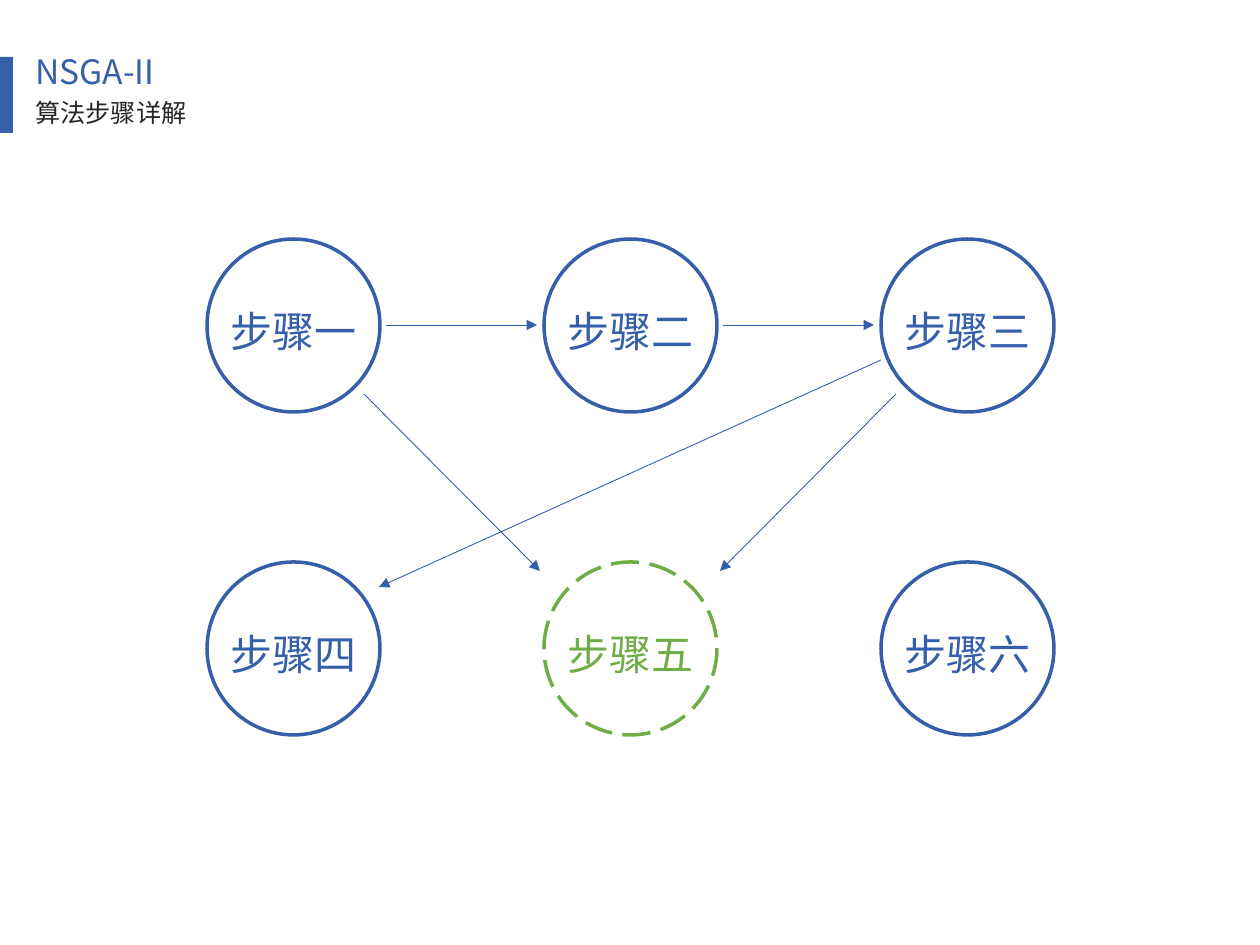
from lxml.etree import SubElement
from pptx import Presentation
from pptx.dml.color import RGBColor
from pptx.enum.dml import MSO_LINE
from pptx.enum.shapes import MSO_CONNECTOR, MSO_SHAPE
from pptx.enum.text import MSO_ANCHOR, MSO_AUTO_SIZE, PP_ALIGN
from pptx.oxml.ns import qn
from pptx.util import Pt

HUES = {"blue": "365FAA", "green": "70AD47", "dark": "262626"}
FONT = "Noto Sans CJK SC"
PX = 914400 / 126

HEAD = "NSGA-II"
SUB = "算法步骤详解"
STEPS = [["步骤一", "步骤二", "步骤三"], ["步骤四", "步骤五", "步骤六"]]
DASHED = "步骤五"
ARROWS = [
    ((364, 394), (540, 571)),
    ((896, 394), (720, 571)),
    ((386, 325), (537, 325)),
    ((723, 325), (874, 325)),
    ((881, 360), (379, 587)),
]
LEFT, TOP, SIZE = 207, 239, 173
STEP_X, STEP_Y = 337, 323


def emu(*vals):
    return [round(v * PX) for v in vals]


def hue(name):
    return RGBColor.from_string(HUES[name])


def write(box, text, size, color, align=PP_ALIGN.LEFT, anchor=MSO_ANCHOR.TOP,
          space=0.9, inset=0):
    frame = box.text_frame
    frame.word_wrap = True
    frame.auto_size = MSO_AUTO_SIZE.NONE
    frame.vertical_anchor = anchor
    frame.margin_top = frame.margin_bottom = emu(inset)[0]
    par = frame.paragraphs[0]
    par.alignment = align
    par.line_spacing = space
    par.space_before = Pt(0)
    run = par.add_run()
    run.text = text
    run.font.size = Pt(size)
    run.font.name = FONT
    run.font.color.rgb = hue(color)
    SubElement(run._r.get_or_add_rPr(), qn("a:ea"), typeface=FONT)


def add_step(slide, text, x, y):
    color = "green" if text == DASHED else "blue"
    ring = slide.shapes.add_shape(MSO_SHAPE.OVAL, *emu(x, y, SIZE, SIZE))
    ring.shadow.inherit = False
    ring.fill.background()
    ring.line.color.rgb = hue(color)
    ring.line.width = Pt(2)
    if text == DASHED:
        ring.line.dash_style = MSO_LINE.LONG_DASH
    box = slide.shapes.add_textbox(*emu(x - 7, y + 52, SIZE + 14, 69))
    write(box, text, 24, color, align=PP_ALIGN.CENTER,
          anchor=MSO_ANCHOR.MIDDLE, space=1.2, inset=6)


def add_arrow(slide, start, end):
    line = slide.shapes.add_connector(MSO_CONNECTOR.STRAIGHT, *emu(*start, *end))
    line.line.color.rgb = hue("blue")
    line.line.width = Pt(0.5)
    SubElement(line.line._get_or_add_ln(), qn("a:tailEnd"), type="triangle")
    SubElement(line._element.spPr, qn("a:effectLst"))


def main():
    deck = Presentation()
    deck.slide_width, deck.slide_height = emu(1260, 945)
    slide = deck.slides.add_slide(deck.slide_layouts[5])

    bar = slide.shapes.add_shape(MSO_SHAPE.RECTANGLE, *emu(0, 57, 13, 76))
    bar.shadow.inherit = False
    bar.fill.solid()
    bar.fill.fore_color.rgb = hue("blue")
    bar.line.fill.background()

    title = slide.shapes.title
    title.left, title.top, title.width, title.height = emu(23, 54, 678, 58)
    write(title, HEAD, 19.2, "blue", inset=1)
    sub = slide.shapes.add_textbox(*emu(23, 98, 678, 44))
    write(sub, SUB, 14.4, "dark", inset=3)

    for row, names in enumerate(STEPS):
        for col, name in enumerate(names):
            add_step(slide, name, LEFT + col * STEP_X, TOP + row * STEP_Y)
    for start, end in ARROWS:
        add_arrow(slide, start, end)

    deck.save("out.pptx")


if __name__ == "__main__":
    main()
